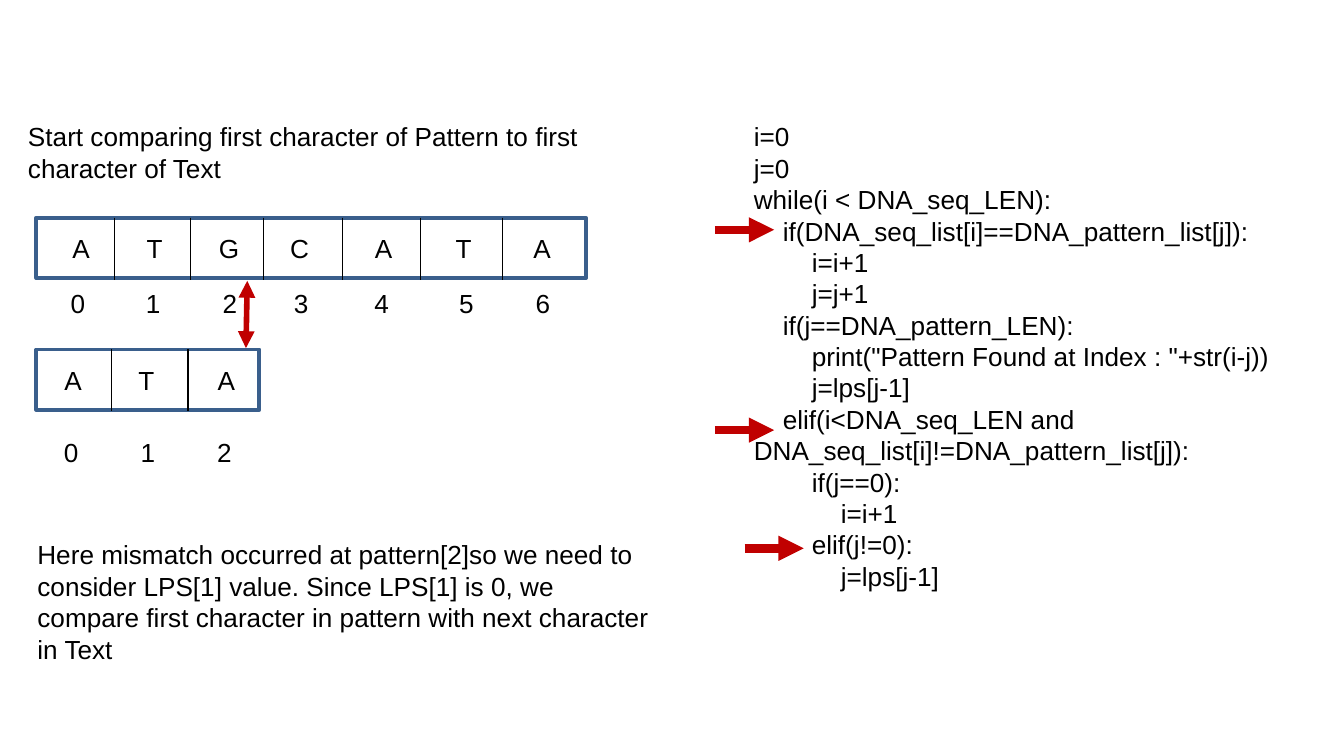
from pptx import Presentation
from pptx.dml.color import RGBColor
from pptx.enum.shapes import MSO_CONNECTOR as MC, MSO_SHAPE as MS
from pptx.enum.text import MSO_AUTO_SIZE as AUTO, PP_ALIGN as AL
from pptx.oxml.ns import qn
from pptx.util import Inches, Pt
from lxml import etree

BLACK, BLUE, RED = "000000", "3A5F8C", "C00000"
FONT = {"name": "Arial", "size": Pt(14)}

CODE = '''i=0
j=0
while(i < DNA_seq_LEN):
    if(DNA_seq_list[i]==DNA_pattern_list[j]):
        i=i+1
        j=j+1
    if(j==DNA_pattern_LEN):
        print("Pattern Found at Index : "+str(i-j))
        j=lps[j-1]
    elif(i<DNA_seq_LEN and \tDNA_seq_list[i]!=DNA_pattern_list[j]):
        if(j==0):
            i=i+1
        elif(j!=0):
            j=lps[j-1]'''


def rgb(color):
    return RGBColor.from_string(color)


def add_tab_stop(p, x):
    tabs = etree.SubElement(p._p.get_or_add_pPr(), qn("a:tabLst"))
    etree.SubElement(tabs, qn("a:tab"), pos=str(Inches(x)), algn="l")


def add_text(shapes, text, x, y, w, h, wrap=True, align=AL.LEFT):
    tf = shapes.add_textbox(Inches(x), Inches(y), Inches(w), Inches(h)).text_frame
    tf.word_wrap = wrap
    tf.auto_size = AUTO.SHAPE_TO_FIT_TEXT
    for i, line in enumerate(text.split("\n")):
        p = tf.add_paragraph() if i else tf.paragraphs[0]
        p.alignment = align
        if "\t" in line:
            add_tab_stop(p, 3)
        r = p.add_run()
        r.text = line
        for key, value in FONT.items():
            setattr(r.font, key, value)
        r.font.color.rgb = rgb(BLACK)


def add_line(shapes, x1, y1, x2, y2, color, width, ends=()):
    """Draw a line; ends lists the arrowheads wanted, headEnd before tailEnd."""
    s = shapes.add_connector(MC.STRAIGHT, *map(Inches, (x1, y1, x2, y2)))
    s.line.color.rgb = rgb(color)
    s.line.width = Pt(width)
    for end in ends:
        etree.SubElement(s.line._ln, qn("a:" + end), type="triangle")
    etree.SubElement(s._element.spPr, qn("a:effectLst"))


def add_array(slide, letters, x, y, w, dividers, letter_dx, index_dx, index_dy):
    """Draw a strip of cells with indices; offsets count from its left edge."""
    shapes = slide.shapes.add_group_shape().shapes
    box = shapes.add_shape(MS.RECTANGLE, Inches(x), Inches(y), Inches(w), Inches(0.45))
    box.shadow.inherit = False
    box.fill.background()
    box.line.color.rgb = rgb(BLUE)
    box.line.width = Pt(2)
    for dx in dividers:
        add_line(shapes, x + dx, y, x + dx, y + 0.46, BLACK, 0.75)
    indices = map(str, range(len(letters)))
    for texts, offsets, dy in ((letters, letter_dx, 0.06), (indices, index_dx, index_dy)):
        for text, dx in zip(texts, offsets):
            add_text(shapes, text, x + dx - 0.16, y + dy, 0.32, 0.34, False, AL.CENTER)


def add_comparison(slide, x, y):
    """Explain the mismatch between the text and the pattern."""
    shapes = slide.shapes
    add_text(shapes, "Start comparing first character of Pattern to first "
             "character of Text", x, y, 5.15, 0.57)
    add_array(slide, "ATA", x + 0.16, y + 1.75, 1.66, (0.56, 1.13),
              (0.27, 0.82, 1.41), (0.26, 0.83, 1.4), 0.6)
    add_array(slide, "ATGCATA", x + 0.16, y + 0.77, 4.09,
              (0.58, 1.15, 1.69, 2.28, 2.86, 3.47),
              (0.33, 0.88, 1.42, 1.95, 2.58, 3.18, 3.76),
              (0.31, 0.87, 1.44, 1.97, 2.57, 3.2, 3.77), 0.47)
    add_line(shapes, x + 1.73, y + 1.24, x + 1.72, y + 1.74, RED, 3,
             ("headEnd", "tailEnd"))
    add_text(shapes, "Here mismatch occurred at pattern[2]so we need to consider "
             "LPS[1] value. Since LPS[1] is 0, we compare first character in "
             "pattern with next character in Text", x + 0.07, y + 3.11, 4.76, 1.04)


def add_code(slide, x, y):
    """Show the search loop with arrows at the lines that run."""
    add_text(slide.shapes, CODE, x, y, 4.55, 3.64)
    for dx, dy in ((-0.19, 0.86), (-0.19, 2.35), (0.03, 3.23)):
        add_line(slide.shapes, x + dx, y + dy, x + dx + 0.44, y + dy, RED, 4.5,
                 ("tailEnd",))


def main():
    prs = Presentation()
    prs.slide_width = Inches(10)
    prs.slide_height = prs.slide_width * 9 // 16
    slide = prs.slides.add_slide(prs.slide_layouts[6])
    add_comparison(slide, 0.11, 0.85)
    add_code(slide, 5.51, 0.85)
    prs.save("out.pptx")


if __name__ == "__main__":
    main()
